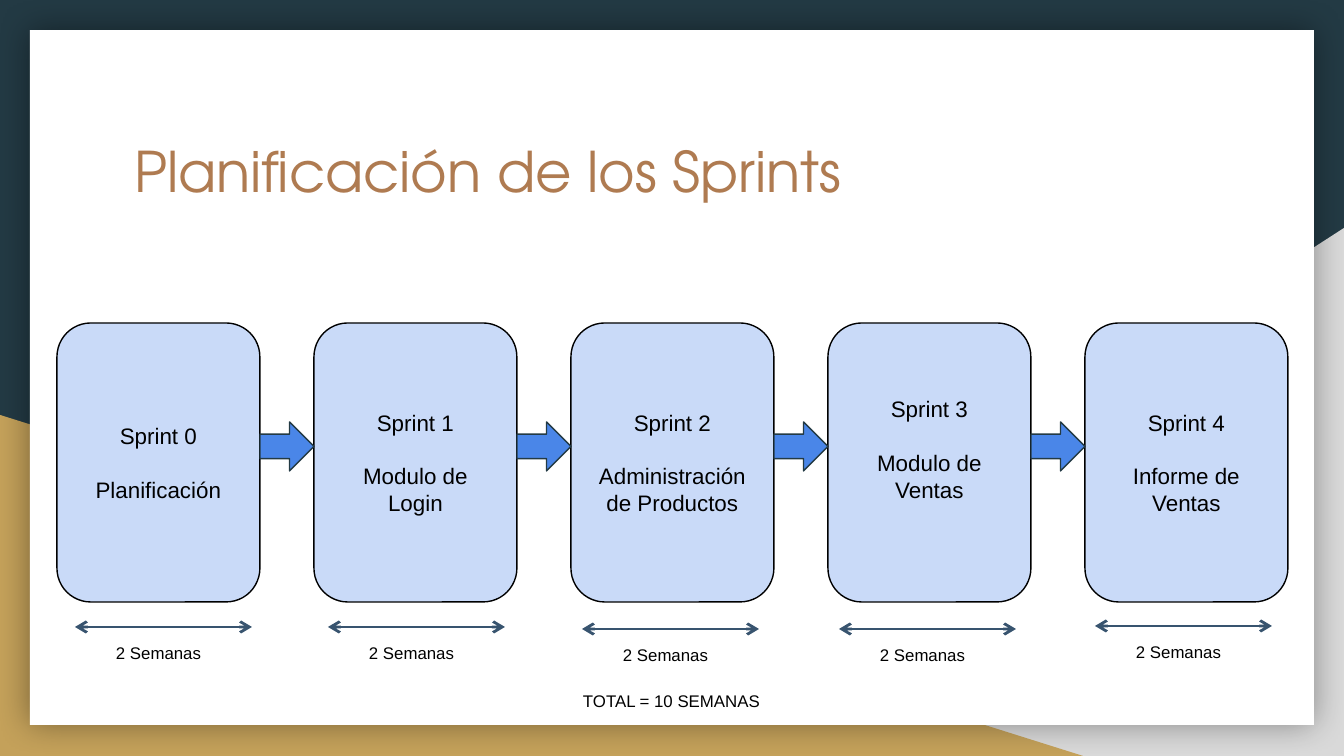
from dataclasses import dataclass

from lxml import etree
from pptx import Presentation
from pptx.dml.color import RGBColor
from pptx.enum.shapes import MSO_CONNECTOR, MSO_SHAPE
from pptx.enum.text import MSO_ANCHOR, PP_ALIGN
from pptx.oxml.ns import qn
from pptx.util import Pt

RECTANGLE = MSO_SHAPE.RECTANGLE
ROUNDED = MSO_SHAPE.ROUNDED_RECTANGLE
TRIANGLE = MSO_SHAPE.RIGHT_TRIANGLE
BLOCK_ARROW = MSO_SHAPE.RIGHT_ARROW
STRAIGHT = MSO_CONNECTOR.STRAIGHT
CENTER, LEFT = PP_ALIGN.CENTER, PP_ALIGN.LEFT
MIDDLE = MSO_ANCHOR.MIDDLE

EMU_PER_PX = 914400 / 134.4
SLIDE_W, SLIDE_H = 1344, 756
BOX_X, BOX_Y, BOX_W, BOX_H = 57, 323, 203, 279
BOX_STEP = 257
INSET = 13
TEXT_LINE = 27


@dataclass(frozen=True)
class Theme:
    navy: str = "233A44"
    grey: str = "D9D9D9"
    gold: str = "C4A15A"
    white: str = "FFFFFF"
    black: str = "000000"
    copper: str = "AF7B51"
    pale_blue: str = "C9DAF8"
    blue: str = "4A86E8"
    steel: str = "38546F"
    title_font: str = "TeX Gyre Adventor"
    body_font: str = "Arial"
    title_size: int = 30
    body_size: int = 12
    label_size: int = 9
    outline: float = 0.75
    span_line: float = 1.5


THEME = Theme()

# Sprint name, goal, left and height of the duration arrow, extra space below the text
SPRINTS = [
    ("Sprint 0", "Planificación", 75, 627, 0),
    ("Sprint 1", "Modulo de Login", 328, 627, 0),
    ("Sprint 2", "Administración de Productos", 582, 629, 0),
    ("Sprint 3", "Modulo de Ventas", 839, 629, TEXT_LINE),
    ("Sprint 4", "Informe de Ventas", 1095, 626, 0),
]


def px(length):
    return round(length * EMU_PER_PX)


def color(code):
    return RGBColor.from_string(code)


def add_block(slide, kind, box, fill, line=None):
    block = slide.shapes.add_shape(kind, *map(px, box))
    block.shadow.inherit = False
    block.fill.solid()
    block.fill.fore_color.rgb = color(fill)
    if line:
        block.line.color.rgb = color(line)
        block.line.width = Pt(THEME.outline)
    else:
        block.line.fill.background()
    return block


def style_paragraph(paragraph, text, size, font=THEME.body_font,
                    ink=THEME.black, align=LEFT):
    paragraph.text = text
    paragraph.alignment = align
    paragraph.font.name = font
    paragraph.font.size = Pt(size)
    paragraph.font.color.rgb = color(ink)


def add_text(slide, box, text, size, inset_y=7, **style):
    frame = slide.shapes.add_textbox(*map(px, box)).text_frame
    frame.word_wrap = True
    frame.margin_left = frame.margin_right = px(INSET)
    frame.margin_top = frame.margin_bottom = px(inset_y)
    style_paragraph(frame.paragraphs[0], text, size, **style)


def add_soft_shadow(block):
    effects = block._element.spPr.find(qn("a:effectLst"))
    shadow = etree.SubElement(effects, qn("a:outerShdw"),
                              blurRad=str(Pt(18)), dist="0", dir="0",
                              algn="ctr", rotWithShape="0")
    tint = etree.SubElement(shadow, qn("a:srgbClr"), val=THEME.black)
    etree.SubElement(tint, qn("a:alpha"), val="40000")


def add_background(slide):
    slide.background.fill.solid()
    slide.background.fill.fore_color.rgb = color(THEME.navy)
    grey_corner = add_block(slide, TRIANGLE, (527, 228, 817, 528), THEME.grey)
    grey_corner._element.spPr.xfrm.set("flipH", "1")
    add_block(slide, TRIANGLE, (0, 415, 1083, 341), THEME.gold)
    card = add_block(slide, RECTANGLE, (30, 30, 1284, 695), THEME.white)
    add_soft_shadow(card)


def add_sprint(slide, x, name, goal, space_below):
    sprint = add_block(slide, ROUNDED, (x, BOX_Y, BOX_W, BOX_H),
                       THEME.pale_blue, THEME.black)
    frame = sprint.text_frame
    frame.word_wrap = True
    frame.vertical_anchor = MIDDLE
    frame.margin_left = frame.margin_right = frame.margin_top = px(INSET)
    frame.margin_bottom = px(INSET + space_below)
    style_paragraph(frame.paragraphs[0], name, THEME.body_size, align=CENTER)
    goal_line = frame.add_paragraph()
    style_paragraph(goal_line, goal, THEME.body_size, align=CENTER)
    goal_line.space_before = Pt(14.4)


def add_duration(slide, x, y):
    span = slide.shapes.add_connector(STRAIGHT, px(x), px(y), px(x + 177), px(y))
    span.line.color.rgb = color(THEME.steel)
    span.line.width = Pt(THEME.span_line)
    outline = span.line._get_or_add_ln()
    for end in ("a:headEnd", "a:tailEnd"):
        etree.SubElement(outline, qn(end), type="arrow", w="med", len="med")
    etree.SubElement(span._element.spPr, qn("a:effectLst"))
    add_text(slide, (x + 28, y + 9, 118, 33), "2 Semanas", THEME.label_size)


def main():
    deck = Presentation()
    deck.slide_width, deck.slide_height = px(SLIDE_W), px(SLIDE_H)
    slide = deck.slides.add_slide(deck.slide_layouts[6])
    add_background(slide)

    # Title
    add_text(slide, (121, 124, 1103, 140), "Planificación de los Sprints",
             THEME.title_size, inset_y=INSET, font=THEME.title_font,
             ink=THEME.copper)

    # Sprints with their durations
    for i, (name, goal, span_x, span_y, space_below) in enumerate(SPRINTS):
        add_sprint(slide, BOX_X + i * BOX_STEP, name, goal, space_below)
        add_duration(slide, span_x, span_y)

    # Arrows from one sprint to the next
    for i in range(len(SPRINTS) - 1):
        add_block(slide, BLOCK_ARROW,
                  (BOX_X + BOX_W + i * BOX_STEP, 422, BOX_STEP - BOX_W, 49),
                  THEME.blue, THEME.navy)

    # Total
    add_text(slide, (570, 684, 239, 33), "TOTAL = 10 SEMANAS", THEME.label_size)
    deck.save("out.pptx")


if __name__ == "__main__":
    main()
